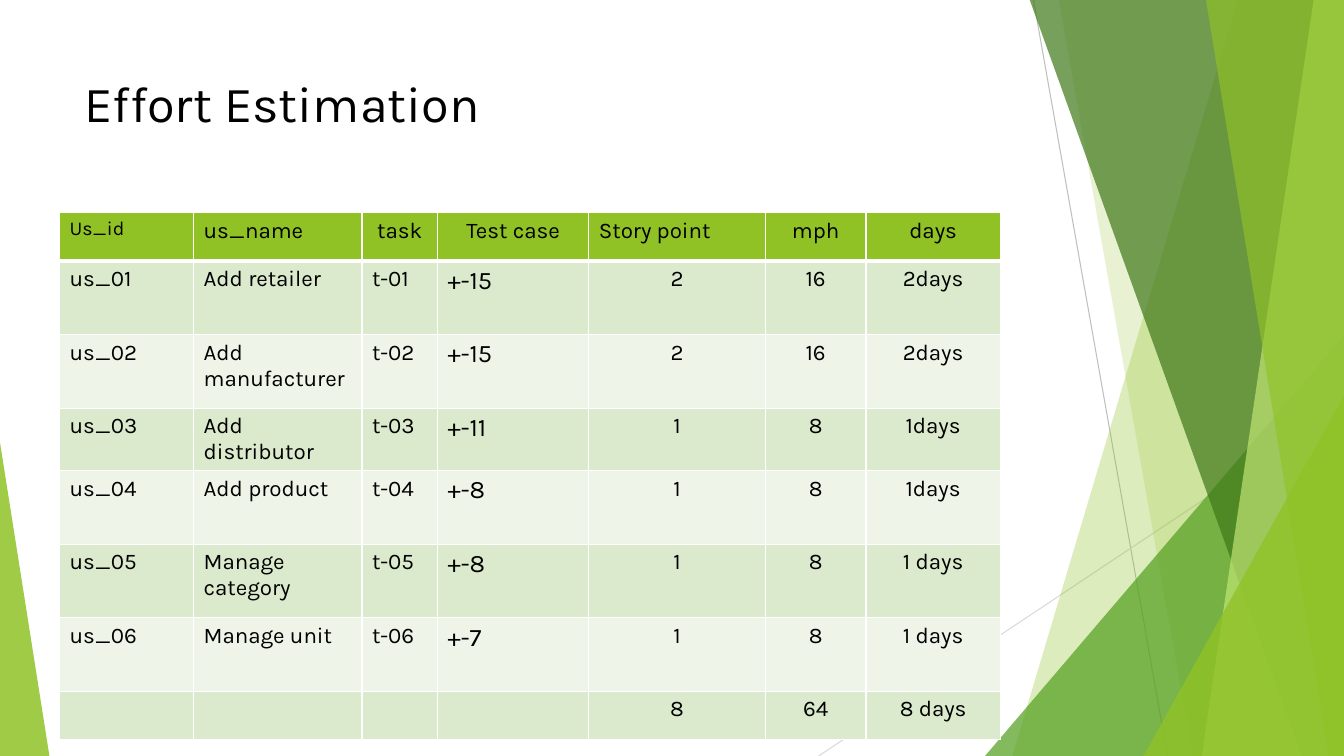
from dataclasses import dataclass

import pptx
import pptx.dml.color
import pptx.enum.shapes
import pptx.enum.text
import pptx.oxml.ns
import pptx.util
from lxml import etree

PX = 9144  # 100 px to the inch
FONT = "Karla"
BLACK, WHITE, LIME = "000000", "FFFFFF", "90C226"
BANDS = ("DBE9CD", "EEF4E8")
LEFT = pptx.enum.text.PP_ALIGN.LEFT
CENTER = pptx.enum.text.PP_ALIGN.CENTER

COLS = (133, 167, 75, 150, 175, 100, 133)
HEIGHTS = (48, 73, 73, 48, 73, 73, 73, 48)
ROWS = (
    ("Us_id", "us_name", "task", "Test case", "Story point", "mph", "days"),
    ("us_01", "Add retailer", "t-01", "+-15", "2", "16", "2days"),
    ("us_02", "Add manufacturer", "t-02", "+-15", "2", "16", "2days"),
    ("us_03", "Add distributor", "t-03", "+-11", "1", "8", "1days"),
    ("us_04", "Add product", "t-04", "+-8", "1", "8", "1days"),
    ("us_05", "Manage category", "t-05", "+-8", "1", "8", "1 days"),
    ("us_06", "Manage unit", "t-06", "+-7", "1", "8", "1 days"),
    ("", "", "", "", "8", "64", "8 days"),
)


@dataclass
class Ray:
    start: tuple[int, int]
    end: tuple[int, int]
    color: str


@dataclass
class Band:
    """A four-sided stripe that runs from the top edge to the bottom edge."""
    top: tuple[int, int]
    base: tuple[int, int]
    color: str
    alpha: int


@dataclass
class Wedge:
    """A right triangle whose tip sits at the share `tip` of its width."""
    box: tuple[int, int, int, int]
    tip: int
    color: str
    alpha: int


RAYS = (
    Ray((1025, 0), (1158, 750), "BFBFBF"),
    Ray((1333, 403), (812, 750), "D9D9D9"),
)
FACETS = (
    Band((1228, 1333), (1004, 1333), LIME, 30),
    Band((1050, 1333), (1183, 1333), LIME, 20),
    Wedge((977, 333, 356, 417), 1, "54A021", 72),
    Band((1021, 1333), (1291, 1333), "3F7819", 70),
    Band((1303, 1333), (1192, 1333), "C0E474", 70),
    Band((1196, 1333), (1318, 1333), LIME, 65),
    Wedge((1134, 393, 199, 357), 1, LIME, 80),
    Wedge((0, 439, 49, 311), 0, LIME, 85),
)


def scale(*sizes: int) -> list[int]:
    return [size * PX for size in sizes]


def rgb(color: str) -> pptx.dml.color.RGBColor:
    return pptx.dml.color.RGBColor.from_string(color)


def add(parent, tag: str, **attrs: str):
    return etree.SubElement(parent, pptx.oxml.ns.qn(tag), **attrs)


def paint(shape, color: str, alpha: int) -> None:
    shape.shadow.inherit = False
    shape.line.fill.background()
    shape.fill.solid()
    shape.fill.fore_color.rgb = rgb(color)
    tone = shape._element.spPr.find(".//" + pptx.oxml.ns.qn("a:srgbClr"))
    add(tone, "a:alpha", val=str(alpha * 1000))


def draw_ray(slide, ray: Ray) -> None:
    line = slide.shapes.add_connector(
        pptx.enum.shapes.MSO_CONNECTOR.STRAIGHT, *scale(*ray.start, *ray.end))
    line.line.color.rgb = rgb(ray.color)
    line.line.width = pptx.util.Pt(0.75)
    add(line._element.spPr, "a:effectLst")


def draw_band(slide, band: Band) -> None:
    (left, right), (low, far) = band.top, band.base
    pen = slide.shapes.build_freeform(left, -1, scale=PX)
    pen.add_line_segments([(right, -1), (far, 750), (low, 750)], close=True)
    paint(pen.convert_to_shape(), band.color, band.alpha)


def draw_wedge(slide, wedge: Wedge) -> None:
    shape = slide.shapes.add_shape(
        pptx.enum.shapes.MSO_SHAPE.ISOSCELES_TRIANGLE, *scale(*wedge.box))
    shape.adjustments[0] = wedge.tip
    paint(shape, wedge.color, wedge.alpha)


def write(frame, text: str, size: int, align) -> None:
    frame.text = text
    para = frame.paragraphs[0]
    para.alignment = align
    for run in para.runs:
        run.font.name = FONT
        run.font.size = pptx.util.Pt(size)
        run.font.bold = False
        run.font.color.rgb = rgb(BLACK)


def draw_title(slide) -> None:
    title = slide.shapes.title
    title.left, title.top, title.width, title.height = scale(74, 67, 940, 144)
    frame = title.text_frame
    write(frame, "Effort Estimation", 36, LEFT)
    frame.auto_size = pptx.enum.text.MSO_AUTO_SIZE.NONE
    frame.vertical_anchor = pptx.enum.text.MSO_ANCHOR.TOP


def edge(cell, head: bool) -> None:
    """Give the cell white borders, with a heavy one under the header."""
    props = cell._tc.get_or_add_tcPr()
    for side in "LRTB":
        width = 3 if head and side == "B" else 1
        line = add(props, "a:ln" + side, w=str(pptx.util.Pt(width)))
        add(add(line, "a:solidFill"), "a:srgbClr", val=WHITE)


def style(row: int, col: int) -> tuple[int, bool]:
    """Return the text size and whether the text is centred."""
    if row == 0:
        return (14 if col == 0 else 16), col in (2, 3, 5, 6)
    return (18 if col == 3 else 16), col > 3


def draw_table(slide) -> None:
    grid = slide.shapes.add_table(
        len(ROWS), len(COLS), *scale(59, 211, sum(COLS), sum(HEIGHTS))).table
    for col, width in zip(grid.columns, COLS):
        col.width = width * PX
    for row, height in zip(grid.rows, HEIGHTS):
        row.height = height * PX
    for i, words in enumerate(ROWS):
        for j, word in enumerate(words):
            cell = grid.cell(i, j)
            size, middle = style(i, j)
            write(cell.text_frame, word, size, CENTER if middle else LEFT)
            edge(cell, i == 0)
            cell.fill.solid()
            cell.fill.fore_color.rgb = rgb(BANDS[(i - 1) % 2] if i else LIME)


def main() -> None:
    deck = pptx.Presentation()
    deck.slide_width, deck.slide_height = scale(1333, 750)
    slide = deck.slides.add_slide(deck.slide_layouts.get_by_name("Title Only"))
    draw_title(slide)
    for ray in RAYS:
        draw_ray(slide, ray)
    for facet in FACETS:
        if isinstance(facet, Band):
            draw_band(slide, facet)
        else:
            draw_wedge(slide, facet)
    draw_table(slide)
    deck.save("out.pptx")


if __name__ == "__main__":
    main()
